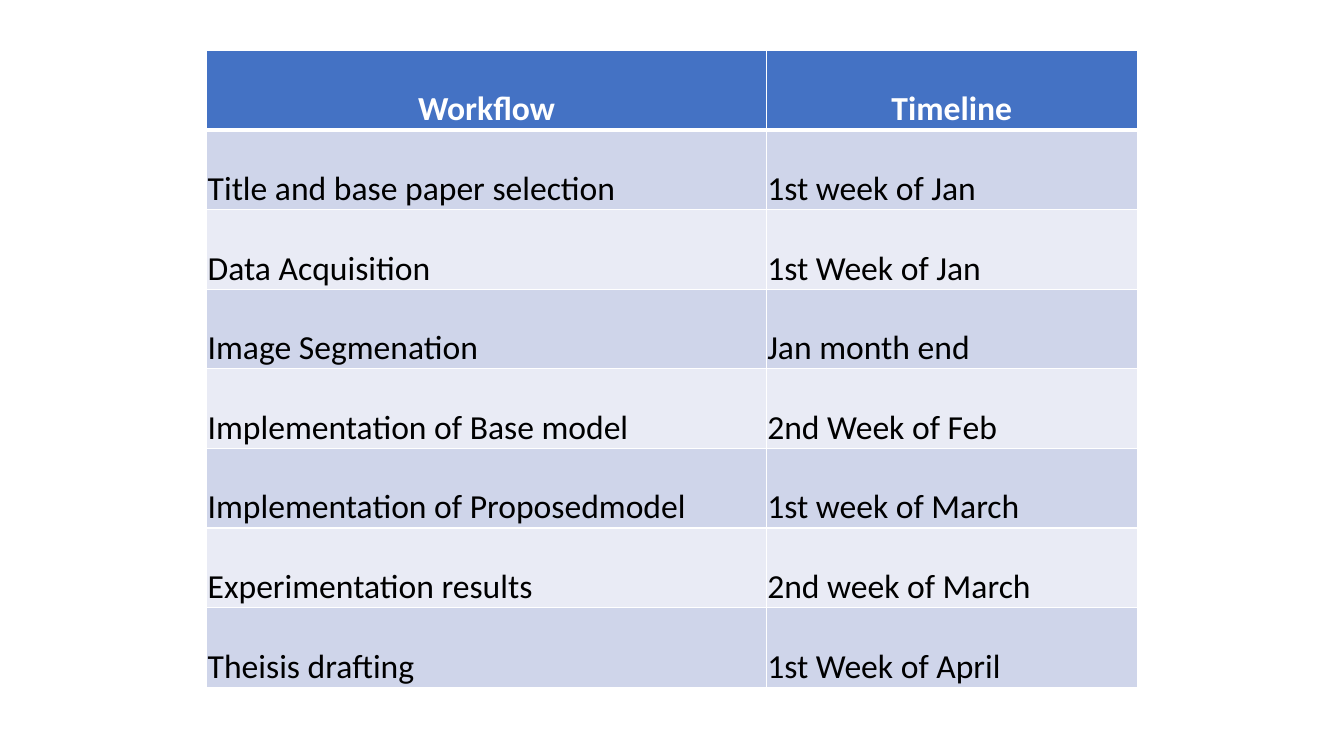
from lxml.etree import SubElement
from pptx import Presentation
from pptx.dml.color import RGBColor
from pptx.enum.text import MSO_ANCHOR as Anchor, PP_ALIGN as Align
from pptx.oxml.ns import qn
from pptx.util import Pt

WHITE = RGBColor(0xFF, 0xFF, 0xFF)
BLACK = RGBColor(0x00, 0x00, 0x00)
BLUE = RGBColor(0x44, 0x72, 0xC4)
BANDS = [RGBColor(0xE9, 0xEB, 0xF5), RGBColor(0xCF, 0xD5, 0xEA)]

PX = 9144
STEPS = [
    ("Workflow", "Timeline"),
    ("Title and base paper selection", "1st week of Jan"),
    ("Data Acquisition", "1st Week of Jan"),
    ("Image Segmenation", "Jan month end"),
    ("Implementation of Base model", "2nd Week of Feb"),
    ("Implementation of Proposedmodel", "1st week of March"),
    ("Experimentation results", "2nd week of March"),
    ("Theisis drafting", "1st Week of April"),
]


class Page:
    font = "Calibri"
    size = Pt(24)

    def __init__(self, deck):
        self.slide = deck.slides.add_slide(deck.slide_layouts[6])

    def table(self, left, top, widths, height, rows):
        frame = self.slide.shapes.add_table(
            len(rows), len(widths), left * PX, top * PX,
            sum(widths) * PX, height * len(rows) * PX)
        grid = frame.table
        for col, width in zip(grid.columns, widths):
            col.width = width * PX
        for i, texts in enumerate(rows):
            grid.rows[i].height = height * PX
            for j, text in enumerate(texts):
                self.cell(grid.cell(i, j), text, i)

    def cell(self, cell, text, row):
        head = row == 0
        cell.vertical_anchor = Anchor.BOTTOM
        cell.margin_left = cell.margin_right = cell.margin_top = PX
        cell.margin_bottom = 0
        self.edge(cell, "L", 1)
        self.edge(cell, "R", 1)
        self.edge(cell, "T", 3 if row == 1 else 1)
        self.edge(cell, "B", 3 if head else 1)
        cell.fill.solid()
        cell.fill.fore_color.rgb = BLUE if head else BANDS[row % 2]
        para = cell.text_frame.paragraphs[0]
        para.alignment = Align.CENTER if head else Align.LEFT
        run = para.add_run()
        run.text = text
        run.font.name = self.font
        run.font.size = self.size
        run.font.bold = head
        run.font.color.rgb = WHITE if head else BLACK

    def edge(self, cell, side, width):
        props = cell._tc.get_or_add_tcPr()
        line = SubElement(props, qn(f"a:ln{side}"), w=str(Pt(width)))
        fill = SubElement(line, qn("a:solidFill"))
        SubElement(fill, qn("a:srgbClr"), val=str(WHITE))


def main():
    deck = Presentation()
    deck.slide_width = 1333 * PX
    deck.slide_height = 750 * PX
    page = Page(deck)
    page.table(205, 50, [555, 368], 79, STEPS)
    deck.save("out.pptx")


if __name__ == "__main__":
    main()
